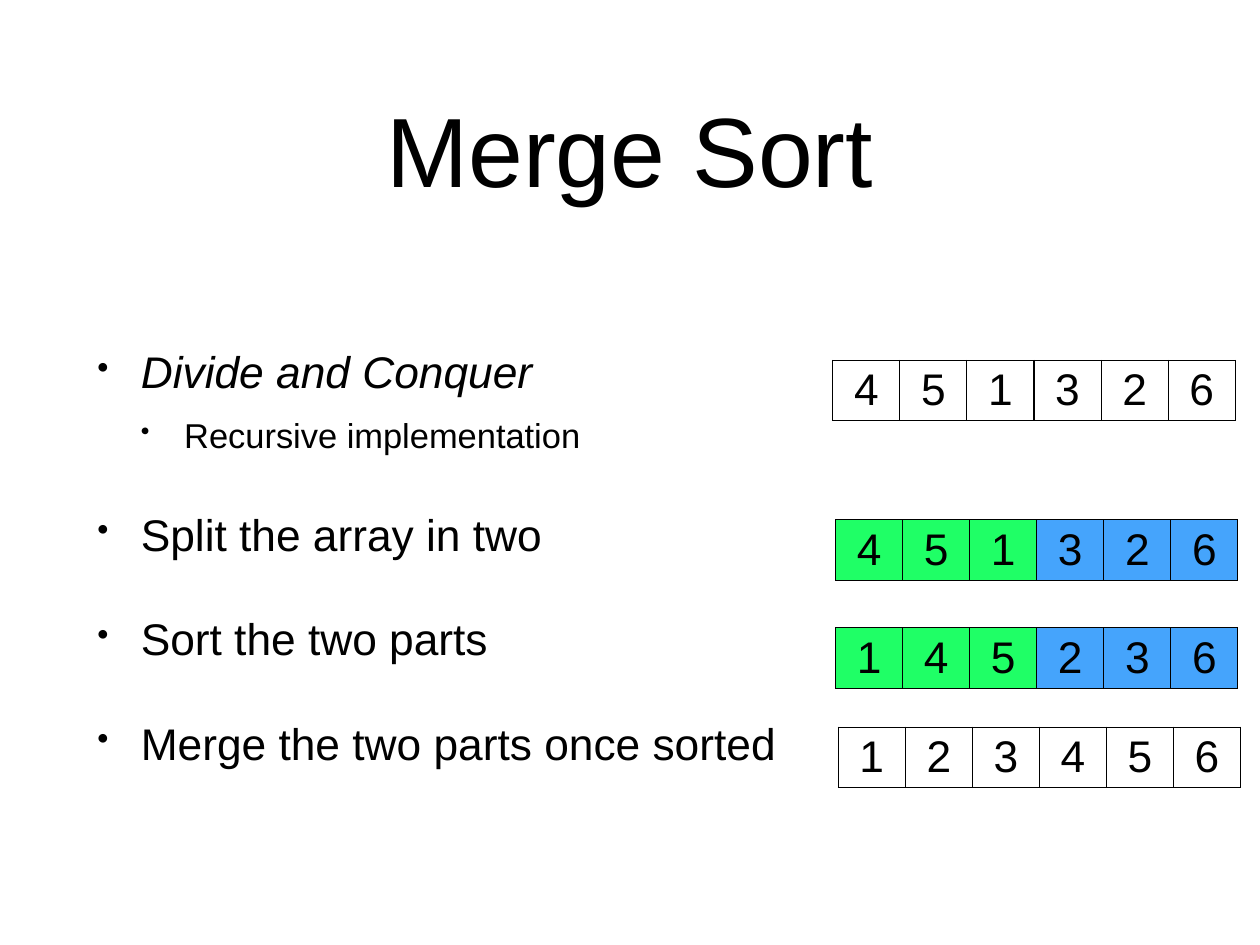
from lxml import etree
from pptx import Presentation
from pptx.dml.color import RGBColor
from pptx.enum.text import MSO_ANCHOR, PP_ALIGN
from pptx.oxml.ns import qn
from pptx.util import Inches, Pt

BLACK = RGBColor(0x00, 0x00, 0x00)
WHITE = RGBColor(0xFF, 0xFF, 0xFF)
GREEN = RGBColor(0x1F, 0xFF, 0x66)
BLUE = RGBColor(0x45, 0xA4, 0xFC)
CENTER = PP_ALIGN.CENTER
LEFT = PP_ALIGN.LEFT
MIDDLE = MSO_ANCHOR.MIDDLE
TITLE_ONLY = 5

PLAIN = [WHITE] * 6
HALVES = [GREEN] * 3 + [BLUE] * 3
STEPS = [
    ("Divide and Conquer", 0, True),
    ("Recursive implementation", 1, False),
    ("Split the array in two", 0, False),
    ("Sort the two parts", 0, False),
    ("Merge the two parts once sorted", 0, False),
]
ARRAYS = [
    ("451326", 66.1, 38.14, PLAIN),
    ("451326", 66.32, 55.01, HALVES),
    ("145236", 66.32, 66.45, HALVES),
    ("123456", 66.53, 76.94, PLAIN),
]


class SlideBuilder:
    font_name = "Arial"
    inset = Inches(0.06)
    indent = Inches(0.49)
    cell_margin = Inches(0.04)
    border_width = Pt(1)

    def __init__(self, deck):
        self.deck = deck
        self.page = deck.slides.add_slide(deck.slide_layouts[TITLE_ONLY])

    def area(self, left, top, width, height):
        across, down = self.deck.slide_width, self.deck.slide_height
        return [round(share * size / 100) for share, size in
                ((left, across), (top, down), (width, across), (height, down))]

    def style(self, para, size, align=LEFT, italic=False):
        para.alignment = align
        para.font.name = self.font_name
        para.font.size = Pt(size)
        para.font.italic = italic
        para.font.bold = False
        para.font.color.rgb = BLACK

    def frame(self, box):
        frame = box.text_frame
        frame.word_wrap = True
        frame.vertical_anchor = MIDDLE
        frame.margin_left = frame.margin_right = self.inset
        frame.margin_top = frame.margin_bottom = self.inset
        return frame

    def title(self, text, *shares):
        box = self.page.shapes.title
        box.left, box.top, box.width, box.height = self.area(*shares)
        para = self.frame(box).paragraphs[0]
        para.text = text
        self.style(para, 80, CENTER)

    def bullets(self, items, *shares):
        frame = self.frame(self.page.shapes.add_textbox(*self.area(*shares)))
        for index, (text, level, italic) in enumerate(items):
            para = frame.add_paragraph() if index else frame.paragraphs[0]
            para.text = text
            para.level = level
            para.space_before = Pt(13 if level else 42)
            self.style(para, 28 if level else 36, italic=italic)
            self.bullet(para, level)

    def bullet(self, para, level):
        properties = para._p.get_or_add_pPr()
        properties.set("marL", str(self.indent * (level + 1)))
        properties.set("indent", str(-self.indent))
        size = etree.SubElement(properties, qn("a:buSzPct"))
        size.set("val", "75000")
        mark = etree.SubElement(properties, qn("a:buChar"))
        mark.set("char", "•")
        defaults = properties.find(qn("a:defRPr"))
        if defaults is not None:
            properties.append(defaults)

    def array(self, digits, fills, *shares):
        table = self.page.shapes.add_table(
            1, len(digits), *self.area(*shares)).table
        table.first_row = False
        table.horz_banding = False
        for cell, digit, fill in zip(table.iter_cells(), digits, fills):
            cell.text = digit
            cell.margin_top = cell.margin_bottom = self.cell_margin
            cell.vertical_anchor = MIDDLE
            self.style(cell.text_frame.paragraphs[0], 36, CENTER)
            self.borders(cell)
            cell.fill.solid()
            cell.fill.fore_color.rgb = fill

    def borders(self, cell):
        properties = cell._tc.get_or_add_tcPr()
        for side in ("a:lnL", "a:lnR", "a:lnT", "a:lnB"):
            line = etree.SubElement(properties, qn(side))
            line.set("w", str(self.border_width))
            paint = etree.SubElement(line, qn("a:solidFill"))
            etree.SubElement(paint, qn("a:srgbClr")).set("val", str(BLACK))


def main():
    deck = Presentation()
    deck.slide_width = Inches(14.22)
    deck.slide_height = Inches(10.67)
    builder = SlideBuilder(deck)
    builder.title("Merge Sort", 7.31, 4.59, 85.37, 22.12)
    builder.bullets(STEPS, 7.31, 26.71, 57.88, 64.48)
    for digits, left, top, fills in ARRAYS:
        builder.array(digits, fills, left, top, 31.93, 6.2)
    deck.save("out.pptx")


if __name__ == "__main__":
    main()
